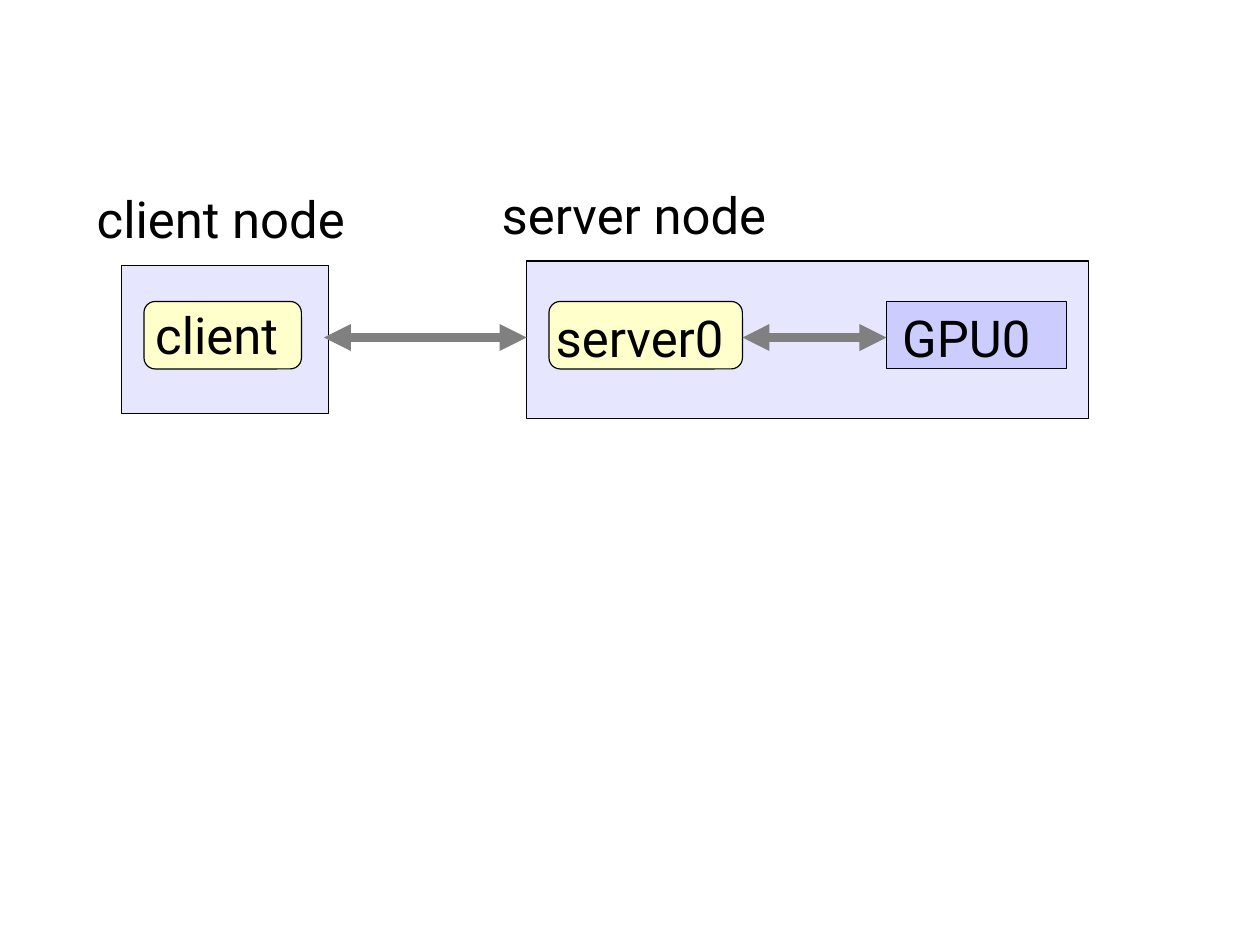
import dataclasses

import lxml.etree
import pptx
import pptx.dml.color
import pptx.enum.shapes
import pptx.oxml.ns
import pptx.util

Cm = pptx.util.Cm
Pt = pptx.util.Pt
RGB = pptx.dml.color.RGBColor.from_string
SHAPE = pptx.enum.shapes.MSO_SHAPE


@dataclasses.dataclass(frozen=True)
class Theme:
    node: str = "E6E6FF"
    process: str = "FFFFCC"
    gpu: str = "CCCCFF"
    ink: str = "000000"
    arrow: str = "808080"
    font: str = "Roboto"
    text_size: float = 32
    outline: float = 0
    arrow_width: float = 5.67


THEME = Theme()
LABEL_HEIGHT = 1.78
PART_HEIGHT = 1.5
PART_TOP = 6.7
ARROW_Y = 7.5


def add_block(slide, kind, box, fill):
    block = slide.shapes.add_shape(kind, *map(Cm, box))
    block.shadow.inherit = False
    block.fill.solid()
    block.fill.fore_color.rgb = RGB(fill)
    block.line.color.rgb = RGB(THEME.ink)
    block.line.width = Pt(THEME.outline)


def add_label(slide, words, left, top, width):
    label = slide.shapes.add_textbox(*map(Cm, (left, top, width, LABEL_HEIGHT)))
    label.text_frame.word_wrap = True
    run = label.text_frame.paragraphs[0].add_run()
    run.text = words
    text_format = {"name": THEME.font, "size": Pt(THEME.text_size)}
    for attribute, value in text_format.items():
        setattr(run.font, attribute, value)
    run.font.color.rgb = RGB(THEME.ink)


def add_node(slide, name, box, label_width, parts):
    """Draw a node with its name above it; each part's left is relative to the node."""
    left, top, _, _ = box
    add_block(slide, SHAPE.RECTANGLE, box, THEME.node)
    add_label(slide, name, left - 0.8, top - 1.85, label_width)
    for words, kind, fill, offset, width, (shift_x, shift_y) in parts:
        part_left = left + offset
        add_block(slide, kind, (part_left, PART_TOP, width, PART_HEIGHT), fill)
        add_label(slide, words, part_left + shift_x, PART_TOP + shift_y, width + 0.2)


def add_link(slide, start, end):
    """Draw a horizontal double-headed arrow."""
    link = slide.shapes.add_connector(
        pptx.enum.shapes.MSO_CONNECTOR.STRAIGHT,
        *map(Cm, (start, ARROW_Y, end, ARROW_Y)))
    link.line.color.rgb = RGB(THEME.arrow)
    link.line.width = Pt(THEME.arrow_width)
    outline = link.line._get_or_add_ln()
    for tip in ("a:headEnd", "a:tailEnd"):
        lxml.etree.SubElement(outline, pptx.oxml.ns.qn(tip), type="triangle")
    lxml.etree.SubElement(link._element.spPr, pptx.oxml.ns.qn("a:effectLst"))


def main():
    deck = pptx.Presentation()
    deck.slide_width, deck.slide_height = Cm(28), Cm(21)
    slide = deck.slides.add_slide(deck.slide_layouts[6])

    add_node(slide, "client node", (2.7, 5.9, 4.6, 3.3), 6.45, [
        ("client", SHAPE.ROUNDED_RECTANGLE, THEME.process, 0.5, 3.5, (0, -0.07)),
    ])
    add_node(slide, "server node", (11.7, 5.8, 12.5, 3.5), 6.85, [
        ("server0", SHAPE.ROUNDED_RECTANGLE, THEME.process, 0.5, 4.3, (-0.1, 0)),
        ("GPU0", SHAPE.RECTANGLE, THEME.gpu, 8, 4, (0.1, 0)),
    ])
    for start, end in ((7.2, 11.7), (16.5, 19.7)):
        add_link(slide, start, end)

    deck.save("out.pptx")


if __name__ == "__main__":
    main()
